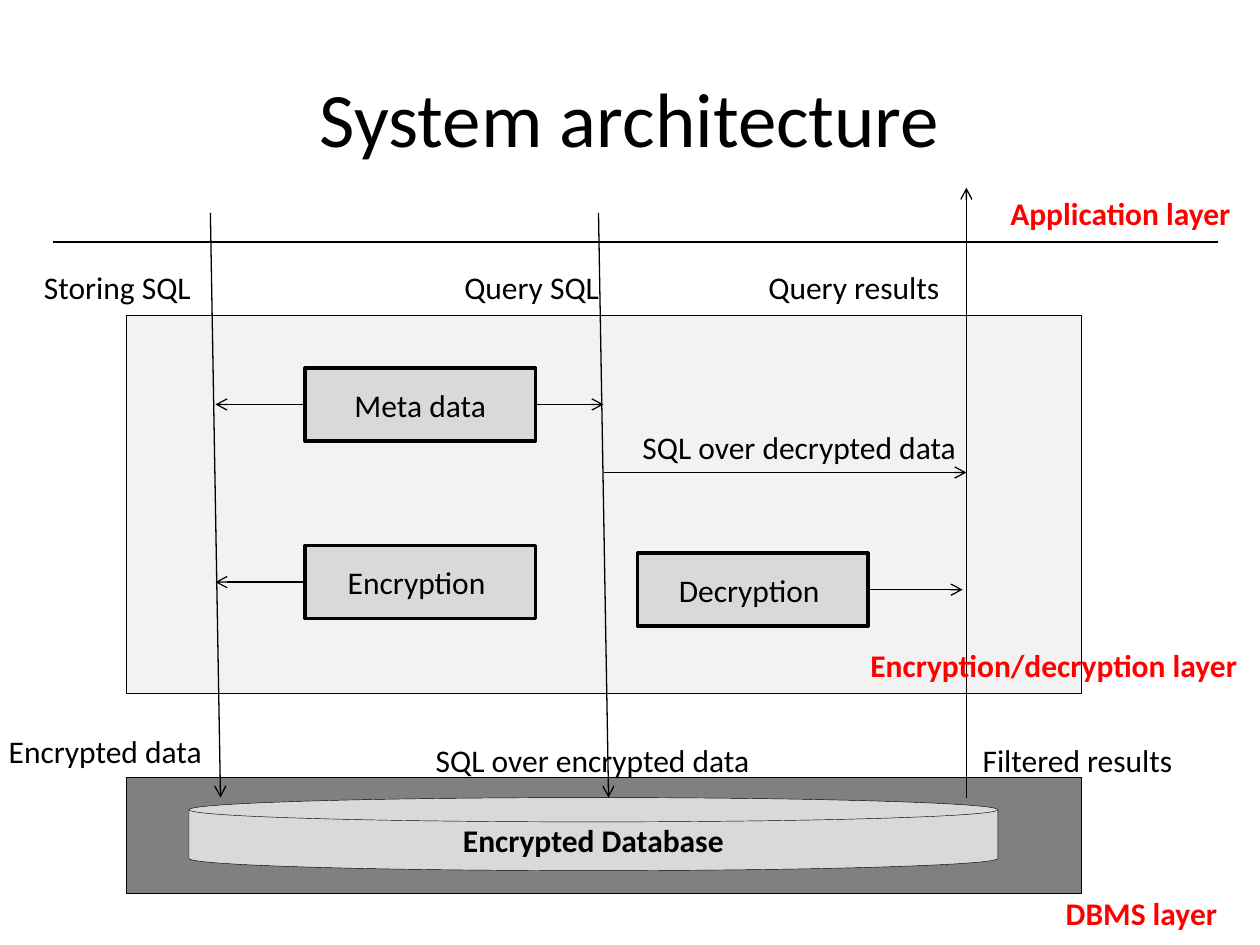
from dataclasses import dataclass
from typing import NamedTuple

from lxml.etree import SubElement
from pptx import Presentation
from pptx.dml.color import RGBColor
from pptx.enum.shapes import MSO_CONNECTOR, MSO_SHAPE
from pptx.enum.text import MSO_ANCHOR, MSO_AUTO_SIZE, PP_ALIGN
from pptx.oxml.ns import qn
from pptx.util import Inches, Pt


@dataclass(frozen=True)
class Theme:
    font: str = "Calibri"
    ink: str = "000000"
    layer: str = "FF0000"
    pale: str = "F2F2F2"
    box: str = "D9D9D9"
    dark: str = "808080"
    title: int = 44
    body: int = 18
    thin: float = 0.25
    line: float = 0.75
    bold: float = 2


class Block(NamedTuple):
    left: float
    top: float
    width: float
    height: float
    fill: str
    text: str = ""
    line: float = Theme.thin
    kind: MSO_SHAPE = MSO_SHAPE.RECTANGLE
    bold: bool = False


class Label(NamedTuple):
    left: float
    top: float
    width: float
    text: str
    align: PP_ALIGN = PP_ALIGN.LEFT


class Flow(NamedTuple):
    x1: float
    y1: float
    x2: float
    y2: float
    arrow: bool = True


THEME = Theme()
LABEL_H = 0.4

# Shared positions: flow ends, process boxes, text rows
START, DISK = 1.69, 6.33
BOX_W, BOX_H = 1.83, 0.58
BOX_X, META_Y, ENC_Y = 2.42, 2.92, 4.33
DEC_X, DEC_Y = 5.06, 4.39
STORE_X, QUERY_X, RESULT_X = 1.71, 4.79, 7.67
UPPER, LOWER = 2.08, 5.83
MID = BOX_H / 2


def process(left: float, top: float, text: str) -> Block:
    return Block(left, top, BOX_W, BOX_H, THEME.box, text, THEME.bold)


BLOCKS = [
    Block(1, 2.5, 7.58, 3, THEME.pale),
    Block(1, 6.17, 7.58, 0.92, THEME.dark),
    Block(1.5, DISK, 6.42, BOX_H, THEME.box, "Encrypted Database",
          kind=MSO_SHAPE.FLOWCHART_MAGNETIC_DISK, bold=True),
    process(BOX_X, META_Y, "Meta data"),
    process(BOX_X, ENC_Y, "Encryption "),
    process(DEC_X, DEC_Y, "Decryption "),
]

FLOWS = [
    Flow(0.42, 1.92, 9.67, 1.92, arrow=False),
    Flow(1.67, START, 1.75, DISK),
    Flow(4.75, START, 4.83, DISK),
    Flow(RESULT_X, DISK, RESULT_X, 1.49),
    Flow(BOX_X, META_Y + MID, STORE_X, META_Y + MID),
    Flow(BOX_X + BOX_W, META_Y + MID, QUERY_X, META_Y + MID),
    Flow(BOX_X, ENC_Y + MID, STORE_X, ENC_Y + MID),
    Flow(QUERY_X, 3.75, RESULT_X, 3.75),
    Flow(DEC_X + BOX_W, DEC_Y + MID, 7.64, DEC_Y + MID),
]

LAYERS = [
    Label(7.92, 1.49, 1.96, "Application layer"),
    Label(6.81, 5.08, 3.14, "Encryption/decryption layer"),
    Label(8.36, 7.05, 1.41, "DBMS layer"),
]

NOTES = [
    Label(0.25, UPPER, 1.38, "Storing SQL"),
    Label(3.57, UPPER, 1.34, "Query SQL ", PP_ALIGN.RIGHT),
    Label(6, UPPER, 1.57, "Query results"),
    Label(5, 3.35, 2.72, "SQL over decrypted data"),
    Label(-0.03, 5.76, 1.75, "Encrypted data"),
    Label(3.36, LOWER, 2.72, "SQL over encrypted data"),
    Label(7.7, LOWER, 1.72, "Filtered results"),
]


def write(frame, text: str, *, size: float = THEME.body, color: str = THEME.ink,
          bold: bool = False, align: PP_ALIGN = PP_ALIGN.CENTER,
          anchor: MSO_ANCHOR = MSO_ANCHOR.MIDDLE) -> None:
    frame.vertical_anchor = anchor
    par = frame.paragraphs[0]
    par.alignment = align
    run = par.add_run()
    run.text = text
    run.font.name = THEME.font
    run.font.size = Pt(size)
    run.font.bold = bold
    run.font.color.rgb = RGBColor.from_string(color)


def draw_block(slide, item: Block) -> None:
    shape = slide.shapes.add_shape(item.kind, Inches(item.left), Inches(item.top),
                                   Inches(item.width), Inches(item.height))
    shape.shadow.inherit = False
    shape.fill.solid()
    shape.fill.fore_color.rgb = RGBColor.from_string(item.fill)
    shape.line.color.rgb = RGBColor.from_string(THEME.ink)
    shape.line.width = Pt(item.line)
    if item.text:
        write(shape.text_frame, item.text, bold=item.bold)


def draw_flow(slide, item: Flow) -> None:
    link = slide.shapes.add_connector(MSO_CONNECTOR.STRAIGHT, Inches(item.x1),
                                      Inches(item.y1), Inches(item.x2), Inches(item.y2))
    link.line.color.rgb = RGBColor.from_string(THEME.ink)
    link.line.width = Pt(THEME.line)
    props = link._element.spPr
    if item.arrow:
        SubElement(props.find(qn("a:ln")), qn("a:tailEnd"), type="arrow")
    SubElement(props, qn("a:effectLst"))


def draw_label(slide, item: Label, color: str = THEME.ink, bold: bool = False) -> None:
    frame = slide.shapes.add_textbox(Inches(item.left), Inches(item.top),
                                     Inches(item.width), Inches(LABEL_H)).text_frame
    frame.word_wrap = False
    frame.auto_size = MSO_AUTO_SIZE.SHAPE_TO_FIT_TEXT
    write(frame, item.text, color=color, bold=bold, align=item.align,
          anchor=MSO_ANCHOR.TOP)


def main() -> None:
    deck = Presentation()
    deck.slide_width, deck.slide_height = Inches(10), Inches(7.5)
    slide = deck.slides.add_slide(deck.slide_layouts[5])

    # Title
    title = slide.shapes.title
    title.left, title.top = Inches(0.5), Inches(0.3)
    title.width, title.height = Inches(9), Inches(1.25)
    write(title.text_frame, "System architecture", size=THEME.title)

    # Layers and process boxes, then the flows between them
    for block in BLOCKS:
        draw_block(slide, block)
    for flow in FLOWS:
        draw_flow(slide, flow)

    # Layer names and flow labels
    for label in LAYERS:
        draw_label(slide, label, THEME.layer, bold=True)
    for label in NOTES:
        draw_label(slide, label)

    deck.save("out.pptx")


if __name__ == "__main__":
    main()
